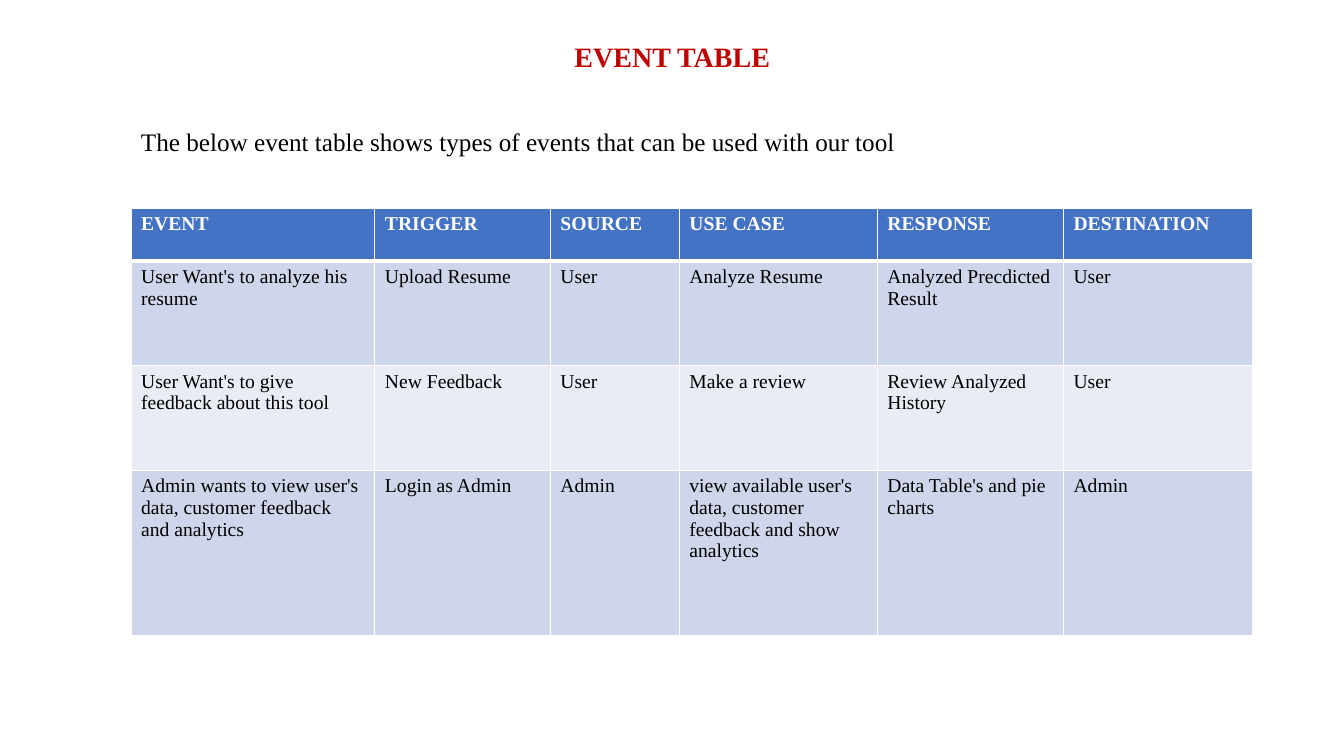
"""Build the event table slide."""
from dataclasses import dataclass

from lxml import etree
from pptx import Presentation
from pptx.dml.color import RGBColor
from pptx.enum.text import MSO_AUTO_SIZE, PP_ALIGN
from pptx.oxml.ns import qn
from pptx.util import Pt

CENTER, LEFT = PP_ALIGN.CENTER, PP_ALIGN.LEFT
FIT_SHAPE = MSO_AUTO_SIZE.SHAPE_TO_FIT_TEXT
FONT = "Times New Roman"
WHITE, BLACK, RED, BLUE = "FFFFFF", "000000", "C00000", "4472C4"
BANDS = ("CFD5EA", "E9EBF5")
COLUMN_WIDTHS = (174.2, 125.3, 92.2, 141.4, 133, 135.3)
ROW_HEIGHTS = (38, 74.7, 74.7, 118)


@dataclass(frozen=True)
class Caption:
    text: str
    left: float
    top: float
    width: float
    height: float
    size: float
    color: str
    bold: bool = False
    align: PP_ALIGN = LEFT


@dataclass(frozen=True)
class Event:
    event: str
    trigger: str
    source: str
    use_case: str
    response: str
    destination: str

    def values(self) -> tuple:
        return (self.event, self.trigger, self.source,
                self.use_case, self.response, self.destination)


CAPTIONS = (
    Caption("EVENT TABLE", 276.5, 24.5, 407.5, 31.5, 20, RED, True, CENTER),
    Caption("The below event table shows types of events that can be used with our tool",
            93.6, 86.4, 635.8, 29, 18, BLACK),
)
EVENTS = (
    Event("EVENT", "TRIGGER", "SOURCE", "USE CASE", "RESPONSE", "DESTINATION"),
    Event("User Want's to analyze his resume", "Upload Resume", "User",
          "Analyze Resume", "Analyzed Precdicted Result", "User"),
    Event("User Want's to give feedback about this tool", "New Feedback", "User",
          "Make a review", "Review Analyzed History", "User"),
    Event("Admin wants to view user's data, customer feedback and analytics",
          "Login as Admin", "Admin",
          "view available user's data, customer feedback and show analytics",
          "Data Table's and pie charts", "Admin"),
)


def rgb(value: str) -> RGBColor:
    return RGBColor.from_string(value)


def write(frame, text: str, size: float, color: str, bold: bool, align: PP_ALIGN) -> None:
    para = frame.paragraphs[0]
    para.alignment = align
    span = para.add_run()
    span.text = text
    for name, value in {"name": FONT, "size": Pt(size), "bold": bold}.items():
        setattr(span.font, name, value)
    span.font.color.rgb = rgb(color)


def add_caption(page, caption: Caption) -> None:
    box = page.shapes.add_textbox(Pt(caption.left), Pt(caption.top),
                                  Pt(caption.width), Pt(caption.height))
    frame = box.text_frame
    frame.word_wrap = True
    frame.auto_size = FIT_SHAPE
    write(frame, caption.text, caption.size, caption.color, caption.bold, caption.align)


def set_borders(cell, widths: dict) -> None:
    properties = cell._tc.get_or_add_tcPr()
    for position, (side, width) in enumerate(widths.items()):
        line = etree.Element(qn(f"a:ln{side}"), w=str(Pt(width)))
        fill = etree.SubElement(line, qn("a:solidFill"))
        etree.SubElement(fill, qn("a:srgbClr"), val=WHITE)
        properties.insert(position, line)


def add_event_table(page) -> None:
    frame = page.shapes.add_table(len(EVENTS), len(COLUMN_WIDTHS), Pt(93.6), Pt(148.5),
                                  Pt(sum(COLUMN_WIDTHS)), Pt(sum(ROW_HEIGHTS)))
    table = frame.table
    for column, width in zip(table.columns, COLUMN_WIDTHS):
        column.width = Pt(width)
    for index, (row, height, event) in enumerate(zip(table.rows, ROW_HEIGHTS, EVENTS)):
        row.height = Pt(height)
        header = index == 0
        background = BLUE if header else BANDS[(index - 1) % 2]
        borders = {"L": 1, "R": 1, "T": 3 if index == 1 else 1, "B": 3 if header else 1}
        for cell, text in zip(row.cells, event.values()):
            cell.fill.solid()
            cell.fill.fore_color.rgb = rgb(background)
            set_borders(cell, borders)
            write(cell.text_frame, text, 14, WHITE if header else BLACK, header, LEFT)


def main() -> None:
    deck = Presentation()
    deck.slide_width, deck.slide_height = Pt(960), Pt(540)
    page = deck.slides.add_slide(deck.slide_layouts[6])
    for caption in CAPTIONS:
        add_caption(page, caption)
    add_event_table(page)
    deck.save("out.pptx")


if __name__ == "__main__":
    main()
